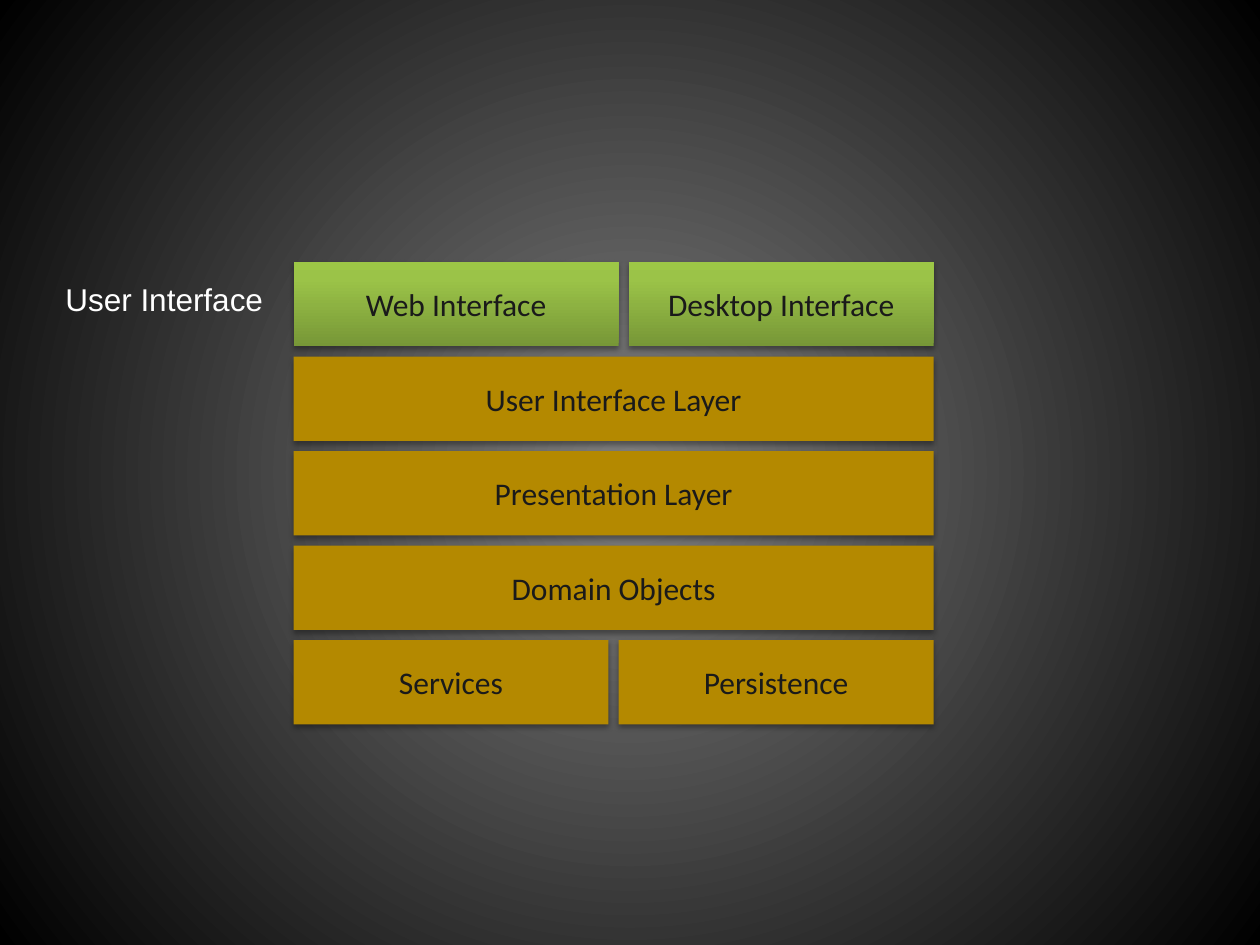
from pptx import Presentation
from pptx.dml.color import RGBColor
from pptx.enum.shapes import MSO_SHAPE
from pptx.enum.text import MSO_ANCHOR, MSO_AUTO_SIZE, PP_ALIGN
from pptx.oxml import parse_xml
from pptx.oxml.ns import nsdecls
from pptx.util import Inches, Pt

COLORS = {
    "ink": "1A1A1A",
    "layer": "B48900",
    "label": "FFFFFF",
    "shadow": "000000",
}
BACKDROP_STOPS = [(0, "7F7F7F"), (100, "000000")]
INTERFACE_STOPS = [(0, "779737"), (80, "9BC348"), (100, "9DC746")]
RADIAL = '<a:path path="circle"><a:fillToRect l="50000" t="50000" r="50000" b="50000"/></a:path>'
UPWARD = '<a:lin ang="16200000" scaled="0"/>'

STACK_LEFT, STACK_TOP, STACK_WIDTH = 2.33, 2.08, 5.08
BOX_HEIGHT, ROW_PITCH, GAP = 0.67, 0.75, 0.08
ROWS = [
    [("Web Interface", 2.58), ("Desktop Interface", 2.42)],
    [("User Interface Layer", STACK_WIDTH)],
    [("Presentation Layer", STACK_WIDTH)],
    [("Domain Objects", STACK_WIDTH)],
    [("Services", 2.5), ("Persistence", 2.5)],
]


def fill_gradient(fill, element, stops, direction):
    fill.background()
    empty_fill = element.xpath(".//a:noFill")[0]
    stop_xml = "".join(
        f'<a:gs pos="{position * 1000}"><a:srgbClr val="{color}"/></a:gs>'
        for position, color in stops
    )
    gradient = parse_xml(
        f'<a:gradFill {nsdecls("a")} rotWithShape="1">'
        f"<a:gsLst>{stop_xml}</a:gsLst>{direction}</a:gradFill>"
    )
    empty_fill.getparent().replace(empty_fill, gradient)


def add_shadow(shape):
    shape.shadow.inherit = False
    effects = shape.element.spPr.xpath("./a:effectLst")[0]
    effects.append(parse_xml(
        f'<a:outerShdw {nsdecls("a")} blurRad="{Pt(3.1)}" dist="{Pt(1.8)}" '
        f'dir="5400000" rotWithShape="0"><a:srgbClr val="{COLORS["shadow"]}">'
        '<a:alpha val="35000"/></a:srgbClr></a:outerShdw>'
    ))


def add_text(para, text, font_name, color):
    span = para.add_run()
    span.text = text
    span.font.name = font_name
    span.font.size = Pt(18)
    span.font.color.rgb = RGBColor.from_string(color)


def add_box(slide, text, left, top, width, is_interface):
    box = slide.shapes.add_shape(
        MSO_SHAPE.RECTANGLE, Inches(left), Inches(top), Inches(width), Inches(BOX_HEIGHT)
    )
    if is_interface:
        fill_gradient(box.fill, box.element.spPr, INTERFACE_STOPS, UPWARD)
    else:
        box.fill.solid()
        box.fill.fore_color.rgb = RGBColor.from_string(COLORS["layer"])
    box.line.fill.background()
    add_shadow(box)
    box.text_frame.vertical_anchor = MSO_ANCHOR.MIDDLE
    para = box.text_frame.paragraphs[0]
    para.alignment = PP_ALIGN.CENTER
    add_text(para, text, "Calibri", COLORS["ink"])


def add_label(slide, text, left, top, width, height):
    label = slide.shapes.add_textbox(Inches(left), Inches(top), Inches(width), Inches(height))
    label.text_frame.word_wrap = False
    label.text_frame.auto_size = MSO_AUTO_SIZE.SHAPE_TO_FIT_TEXT
    add_text(label.text_frame.paragraphs[0], text, "Arial", COLORS["label"])


def add_stack(slide):
    for row_index, row in enumerate(ROWS):
        left = STACK_LEFT
        for text, width in row:
            top = STACK_TOP + row_index * ROW_PITCH
            add_box(slide, text, left, top, width, row_index == 0)
            left += width + GAP


def main():
    deck = Presentation()
    deck.slide_width, deck.slide_height = Inches(10), Inches(7.5)
    slide = deck.slides.add_slide(deck.slide_layouts.get_by_name("Blank"))
    fill_gradient(slide.background.fill, slide.element, BACKDROP_STOPS, RADIAL)
    add_stack(slide)
    add_label(slide, "User Interface", 0.42, 2.17, 1.79, 0.4)
    deck.save("out.pptx")


if __name__ == "__main__":
    main()
